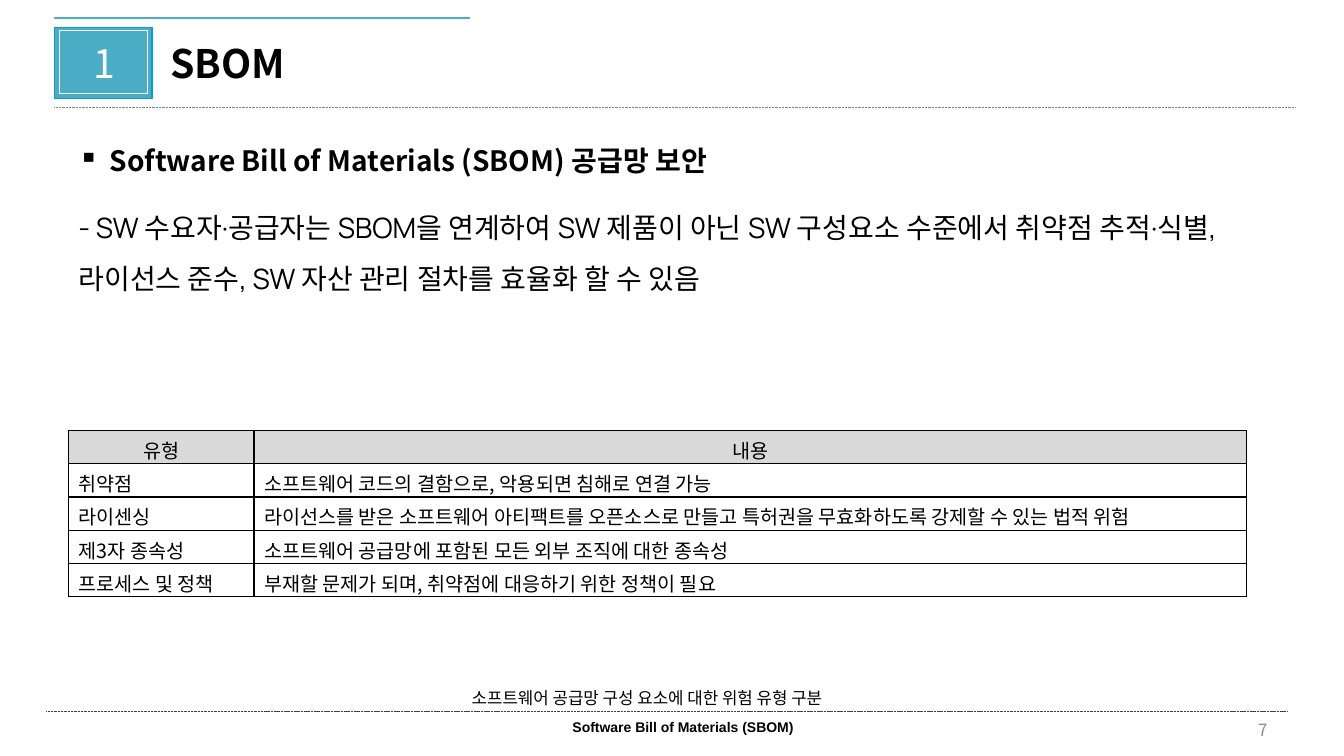
from dataclasses import dataclass

from lxml import etree
from pptx import Presentation
from pptx.dml.color import RGBColor
from pptx.enum.dml import MSO_LINE
from pptx.enum.shapes import MSO_CONNECTOR, MSO_SHAPE
from pptx.enum.text import MSO_ANCHOR, MSO_AUTO_SIZE, PP_ALIGN
from pptx.oxml.ns import qn
from pptx.util import Emu, Pt

LEFT, CENTER, RIGHT = PP_ALIGN.LEFT, PP_ALIGN.CENTER, PP_ALIGN.RIGHT
TOP, MIDDLE = MSO_ANCHOR.TOP, MSO_ANCHOR.MIDDLE
FIT_TEXT = MSO_AUTO_SIZE.SHAPE_TO_FIT_TEXT
DOTTED, DASHED = MSO_LINE.ROUND_DOT, MSO_LINE.SQUARE_DOT
RECTANGLE, STRAIGHT = MSO_SHAPE.RECTANGLE, MSO_CONNECTOR.STRAIGHT

EMU_PER_PX = 9144


@dataclass(frozen=True)
class Theme:
    teal: str = "4BACC6"
    blue: str = "049DD9"
    white: str = "FFFFFF"
    black: str = "000000"
    title_rule: str = "808080"
    footer_rule: str = "404040"
    page_number: str = "8C8C8C"
    header_fill: str = "D9D9D9"
    korean_font: str = "Noto Sans CJK KR"
    body_font: str = "Manrope"
    footer_font: str = "Arial"
    title_size: int = 28
    body_size: int = 20
    table_size: int = 14
    caption_size: int = 12
    footer_size: int = 10


THEME = Theme()

RISK_TYPES = [
    ("유형", "내용"),
    ("취약점", "소프트웨어 코드의 결함으로, 악용되면 침해로 연결 가능"),
    ("라이센싱", "라이선스를 받은 소프트웨어 아티팩트를 오픈소스로 만들고 "
     "특허권을 무효화하도록 강제할 수 있는 법적 위험"),
    ("제3자 종속성", "소프트웨어 공급망에 포함된 모든 외부 조직에 대한 종속성"),
    ("프로세스 및 정책", "부재할 문제가 되며, 취약점에 대응하기 위한 정책이 필요"),
]


def px(length):
    return Emu(length * EMU_PER_PX)


def rgb(color):
    return RGBColor.from_string(color)


def style_paragraph(paragraph, size, color=THEME.black, face=THEME.korean_font,
                    bold=False, align=LEFT):
    """Set the Latin face as given and the Korean face for Hangul."""
    paragraph.alignment = align
    font = paragraph.font
    font.size, font.bold, font.name = Pt(size), bold, face
    font.color.rgb = rgb(color)
    properties = paragraph._p.pPr.find(qn("a:defRPr"))
    etree.SubElement(properties, qn("a:ea"), typeface=THEME.korean_font)


def add_rule(slide, left, right, y, color, width, dash=None):
    rule = slide.shapes.add_connector(STRAIGHT, px(left), px(y), px(right), px(y))
    rule.line.color.rgb = rgb(color)
    rule.line.width = Pt(width)
    if dash:
        rule.line.dash_style = dash
    etree.SubElement(rule._element.spPr, qn("a:effectLst"))


def add_box(slide, bounds, line_color, line_width, fill=None):
    box = slide.shapes.add_shape(RECTANGLE, *map(px, bounds))
    box.shadow.inherit = False
    if fill:
        box.fill.solid()
        box.fill.fore_color.rgb = rgb(fill)
    else:
        box.fill.background()
    box.line.color.rgb = rgb(line_color)
    box.line.width = Pt(line_width)


def add_frame(slide, bounds, wrap=True, grow=True, anchor=TOP):
    frame = slide.shapes.add_textbox(*map(px, bounds)).text_frame
    frame.word_wrap = wrap
    frame.vertical_anchor = anchor
    if grow:
        frame.auto_size = FIT_TEXT
    return frame


def add_label(slide, bounds, text, size, wrap=True, grow=True, anchor=TOP, **style):
    label = add_frame(slide, bounds, wrap, grow, anchor).paragraphs[0]
    label.text = text
    style_paragraph(label, size, **style)


def add_bullet(paragraph, indent):
    properties = paragraph._p.get_or_add_pPr()
    properties.set("marL", str(px(indent)))
    properties.set("indent", str(-px(indent)))
    bullet = etree.Element(qn("a:buChar"), char="▪")
    properties.find(qn("a:defRPr")).addprevious(bullet)


def add_body(slide):
    frame = add_frame(slide, (68, 121, 1220, 239))
    heading, detail = frame.paragraphs[0], frame.add_paragraph()
    heading.text = "Software Bill of Materials (SBOM) 공급망 보안"
    detail.text = ("- SW 수요자·공급자는 SBOM을 연계하여 SW 제품이 아닌 SW 구성요소 "
                   "수준에서 취약점 추적·식별, 라이선스 준수, SW 자산 관리 절차를 "
                   "효율화 할 수 있음")
    for paragraph in (heading, detail):
        paragraph.line_spacing = 1.5
        paragraph.space_before = paragraph.space_after = Pt(6)
    style_paragraph(heading, THEME.body_size, bold=True)
    style_paragraph(detail, THEME.body_size, face=THEME.body_font)
    add_bullet(heading, 31)


def add_borders(cell):
    properties = cell._tc.get_or_add_tcPr()
    for side in ("lnL", "lnR", "lnT", "lnB"):
        border = etree.SubElement(properties, qn(f"a:{side}"), w=str(Pt(1)))
        fill = etree.SubElement(border, qn("a:solidFill"))
        etree.SubElement(fill, qn("a:srgbClr"), val=THEME.black)


def add_risk_table(slide, left, top, widths, row_height):
    table = slide.shapes.add_table(
        len(RISK_TYPES), len(widths), px(left), px(top),
        px(sum(widths)), px(row_height * len(RISK_TYPES))).table
    table.first_row = table.horz_banding = False
    for column, width in zip(table.columns, widths):
        column.width = px(width)
    for row_index, texts in enumerate(RISK_TYPES):
        table.rows[row_index].height = px(row_height)
        is_header = row_index == 0
        for column_index, text in enumerate(texts):
            cell = table.cell(row_index, column_index)
            cell.margin_top, cell.margin_bottom = px(5), 0
            add_borders(cell)
            if is_header:
                cell.fill.solid()
                cell.fill.fore_color.rgb = rgb(THEME.header_fill)
            else:
                cell.fill.background()
            entry = cell.text_frame.paragraphs[0]
            entry.text = text
            style_paragraph(entry, THEME.table_size,
                            align=CENTER if is_header else LEFT)


def add_header(slide):
    add_rule(slide, 54, 466, 18, THEME.teal, 1.75)
    add_box(slide, (54, 27, 97, 71), THEME.blue, 1, fill=THEME.teal)
    add_rule(slide, 54, 1285, 107, THEME.title_rule, 0.5, DOTTED)
    add_box(slide, (59, 30, 87, 63), THEME.white, 0.25)
    add_label(slide, (68, 34, 71, 57), "1", THEME.title_size,
              color=THEME.white, align=CENTER)
    add_label(slide, (159, 34, 134, 57), "SBOM", THEME.title_size,
              wrap=False, bold=True)


def add_footer(slide):
    add_label(slide, (956, 704, 311, 40), "7", THEME.caption_size, grow=False,
              anchor=MIDDLE, color=THEME.page_number, align=RIGHT)
    add_rule(slide, 46, 1277, 706, THEME.footer_rule, 0.25, DASHED)
    add_label(slide, (558, 708, 246, 27), "Software Bill of Materials (SBOM)",
              THEME.footer_size, wrap=False, face=THEME.footer_font, bold=True)


def main():
    deck = Presentation()
    deck.slide_width, deck.slide_height = px(1333), px(750)
    slide = deck.slides.add_slide(deck.slide_layouts[6])
    add_header(slide)
    add_footer(slide)
    add_body(slide)
    add_label(slide, (458, 677, 440, 30),
              "소프트웨어 공급망 구성 요소에 대한 위험 유형 구분", THEME.caption_size)
    add_risk_table(slide, 68, 427, (184, 984), 33)
    deck.save("out.pptx")


if __name__ == "__main__":
    main()
